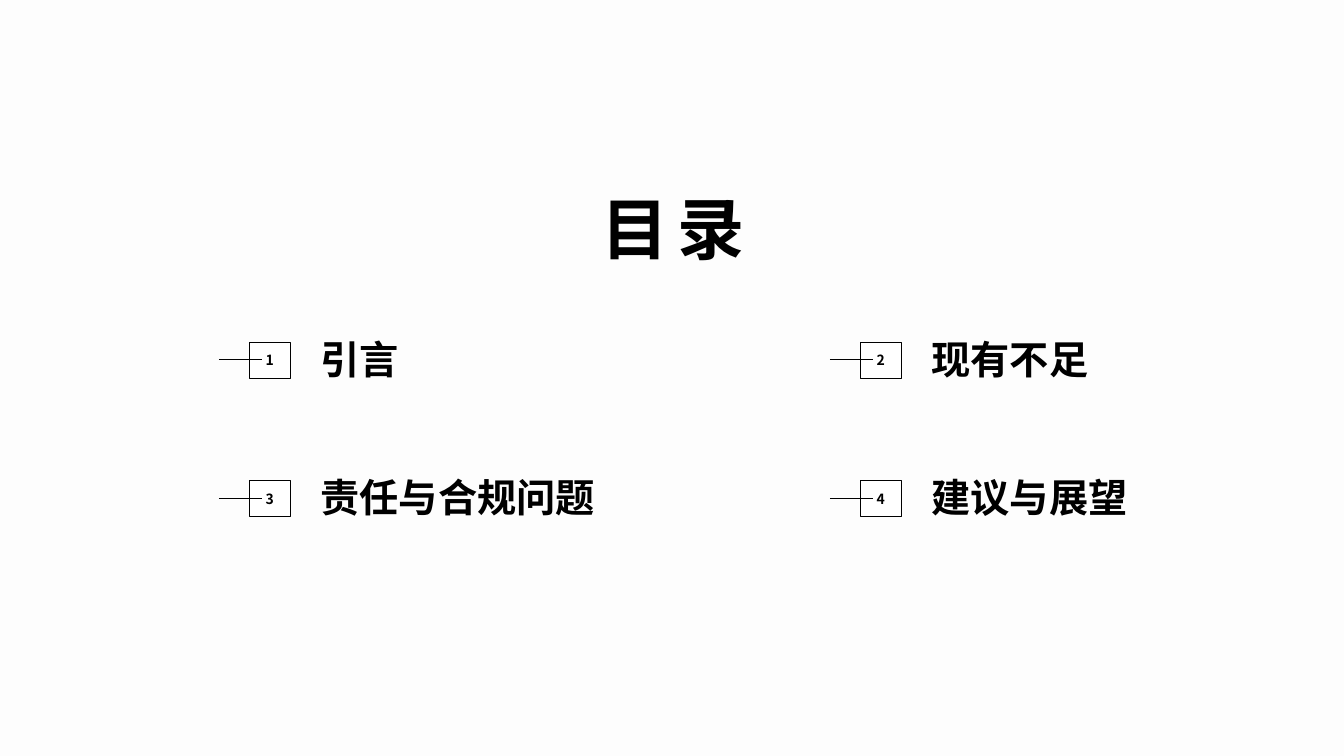
from lxml import etree
from pptx import Presentation
from pptx.dml.color import RGBColor
from pptx.enum.shapes import MSO_CONNECTOR, MSO_SHAPE
from pptx.enum.text import MSO_ANCHOR, MSO_AUTO_SIZE, PP_ALIGN
from pptx.oxml.ns import qn
from pptx.util import Inches, Pt

RECTANGLE = MSO_SHAPE.RECTANGLE
STRAIGHT = MSO_CONNECTOR.STRAIGHT
MIDDLE = MSO_ANCHOR.MIDDLE
CENTER, LEFT = PP_ALIGN.CENTER, PP_ALIGN.LEFT
FIT_SHAPE = MSO_AUTO_SIZE.SHAPE_TO_FIT_TEXT

FONT = "Noto Sans CJK SC"
BLACK, WHITE, PAPER = "000000", "FFFFFF", "FDFDFD"
SLIDE_WIDTH, SLIDE_HEIGHT = 13.33, 7.5

# Grid of contents entries
GRID_LEFT, GRID_TOP = 2.17, 3.28
COLUMN_PITCH, ROW_PITCH = 6.06, 1.37
COLUMNS = 2
ENTRIES = ["引言", "现有不足", "责任与合规问题", "建议与展望"]


def color(hex_string):
    return RGBColor.from_string(hex_string)


def box_lengths(*lengths):
    return [Inches(length) for length in lengths]


def write_text(frame, text, size, alignment, spacing=0):
    paragraph = frame.paragraphs[0]
    paragraph.alignment = alignment
    run = paragraph.add_run()
    run.text = text
    run.font.name = FONT
    run.font.size = Pt(size)
    run.font.bold = True
    run.font.color.rgb = color(BLACK)
    properties = run.font._element
    etree.SubElement(properties, qn("a:ea")).set("typeface", FONT)
    if spacing:
        properties.set("spc", str(spacing * 100))


def outline(line):
    line.color.rgb = color(BLACK)
    line.width = Pt(0.5)


def add_title(slide, left, top, width, height):
    title = slide.shapes.add_textbox(*box_lengths(left, top, width, height))
    title.text_frame.word_wrap = True
    title.text_frame.auto_size = FIT_SHAPE
    write_text(title.text_frame, "目录", 48, CENTER, spacing=6)


def add_entry(slide, left, top, number, heading):
    group = slide.shapes.add_group_shape()

    # Number box
    box = group.shapes.add_shape(
        RECTANGLE, *box_lengths(left + 0.3, top + 0.12, 0.41, 0.35))
    box.shadow.inherit = False
    box.fill.solid()
    box.fill.fore_color.rgb = color(WHITE)
    outline(box.line)
    box.text_frame.vertical_anchor = MIDDLE
    write_text(box.text_frame, str(number), 10, CENTER)

    # Lead line running into the box
    middle = top + 0.29
    lead = group.shapes.add_connector(
        STRAIGHT, *box_lengths(left, middle, left + 0.43, middle))
    outline(lead.line)
    etree.SubElement(lead._element.spPr, qn("a:effectLst"))

    # Heading, as wide as its characters
    label = group.shapes.add_textbox(
        *box_lengths(left + 1.01, top, 0.39 * len(heading), 0.57))
    frame = label.text_frame
    frame.margin_left = frame.margin_right = 0
    frame.word_wrap = False
    frame.auto_size = FIT_SHAPE
    write_text(frame, heading, 28, LEFT)


def add_contents(slide, left, top):
    for index, heading in enumerate(ENTRIES):
        row, column = divmod(index, COLUMNS)
        add_entry(slide, left + column * COLUMN_PITCH, top + row * ROW_PITCH,
                  index + 1, heading)


def main():
    presentation = Presentation()
    presentation.slide_width = Inches(SLIDE_WIDTH)
    presentation.slide_height = Inches(SLIDE_HEIGHT)
    slide = presentation.slides.add_slide(presentation.slide_layouts[6])
    slide.background.fill.solid()
    slide.background.fill.fore_color.rgb = color(PAPER)

    add_contents(slide, GRID_LEFT, GRID_TOP)
    add_title(slide, 2.88, 1.81, 7.59, 0.91)
    presentation.save("out.pptx")


if __name__ == "__main__":
    main()
